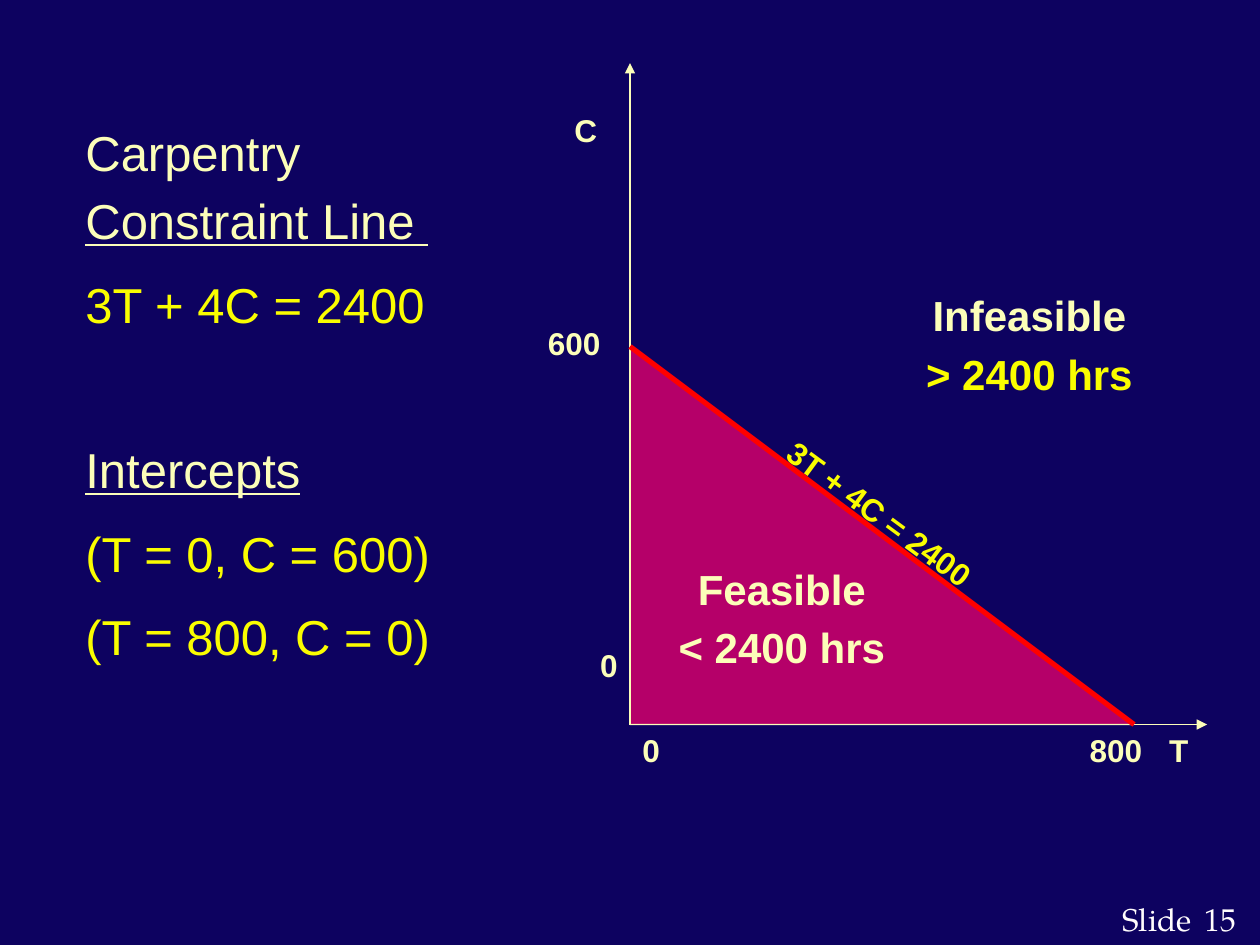
"""Build the carpentry constraint slide with its feasible region graph."""
from lxml import etree
from pptx import Presentation
from pptx.dml.color import RGBColor
from pptx.enum.shapes import MSO_CONNECTOR
from pptx.enum.text import PP_ALIGN
from pptx.oxml.ns import qn
from pptx.util import Inches, Pt

NAVY = RGBColor(0x0D, 0x02, 0x60)
CREAM = RGBColor(0xFC, 0xFE, 0xB9)
YELLOW = RGBColor(0xFA, 0xFD, 0x00)
MAGENTA = RGBColor(0xB5, 0x00, 0x69)
RED = RGBColor(0xFF, 0x00, 0x00)
WHITE = RGBColor(0xFF, 0xFC, 0xFD)

prs = Presentation()
prs.slide_width, prs.slide_height = Inches(10), Inches(7.5)
s = prs.slides.add_slide(prs.slide_layouts[6])
s.background.fill.solid()
s.background.fill.fore_color.rgb = NAVY


def add_text(x, y, w, h, lines, size, bold=False, align=PP_ALIGN.LEFT, font="Arial"):
    sp = s.shapes.add_textbox(Inches(x), Inches(y), Inches(w), Inches(h))
    tf = sp.text_frame
    tf.word_wrap = True
    for i, (text, color, underline, gap) in enumerate(lines):
        p = tf.paragraphs[0] if i == 0 else tf.add_paragraph()
        p.text = text
        p.alignment = align
        p.space_before = Pt(gap * size)
        p.font.name, p.font.size, p.font.bold = font, Pt(size), bold
        p.font.underline = underline
        p.font.color.rgb = color
    return sp


def add_line(x1, y1, x2, y2, color, width, arrow=False):
    c = s.shapes.add_connector(MSO_CONNECTOR.STRAIGHT, Inches(x1), Inches(y1), Inches(x2), Inches(y2))
    c.line.color.rgb = color
    c.line.width = Pt(width)
    if arrow:
        etree.SubElement(c.line._get_or_add_ln(), qn("a:tailEnd"), type="triangle")
    etree.SubElement(c._element.spPr, qn("a:effectLst"))


for text, x, w in [("15", 9.46, 0.5), ("Slide", 8.81, 0.8)]:
    add_text(x, 7.09, w, 0.4, [(text, WHITE, False, 0)], 18, font="TeX Gyre Pagella")

add_text(0.58, 0.92, 4.5, 1.87, [
    ("Carpentry", CREAM, False, 0),
    ("Constraint Line ", CREAM, True, 0.2),
    ("3T + 4C = 2400", YELLOW, False, 0.5),
], 28)
add_text(0.58, 3.44, 4.5, 2.12, [
    ("Intercepts", CREAM, True, 0),
    ("(T = 0, C = 600)", YELLOW, False, 0.5),
    ("(T = 800, C = 0)", YELLOW, False, 0.5),
], 28)

fb = s.shapes.build_freeform(Inches(5), Inches(5.75))
fb.add_line_segments([(Inches(5), Inches(2.75)), (Inches(9), Inches(5.75))], close=True)
region = fb.convert_to_shape()
region.shadow.inherit = False
region.fill.solid()
region.fill.fore_color.rgb = MAGENTA
region.line.color.rgb = CREAM
region.line.width = Pt(0.75)

for x, y in [(9.58, 5.75), (5, 0.5)]:
    add_line(5, 5.75, x, y, CREAM, 0.75, arrow=True)

for text, x, y, w, align in [
    ("0", 5, 5.75, 0.5, PP_ALIGN.LEFT),
    ("800", 8.55, 5.75, 0.7, PP_ALIGN.LEFT),
    ("T", 9.18, 5.75, 0.5, PP_ALIGN.LEFT),
    ("C", 4.46, 0.83, 0.5, PP_ALIGN.LEFT),
    ("600", 4.25, 2.52, 0.75, PP_ALIGN.LEFT),
    ("0", 4.25, 5.08, 0.75, PP_ALIGN.RIGHT),
]:
    add_text(x, y, w, 0.4, [(text, CREAM, False, 0)], 18, True, align)

for x, y, w, title, hours, color in [
    (5.08, 4.42, 2.25, "Feasible", "< 2400 hrs", CREAM),
    (7.17, 2.25, 2, "Infeasible", "> 2400 hrs", YELLOW),
]:
    lines = [(title, CREAM, False, 0), (hours, color, False, 0.2)]
    add_text(x, y, w, 0.98, lines, 24, True, PP_ALIGN.CENTER)

sp = add_text(6, 3.92, 2.08, 0.4, [("3T + 4C = 2400", YELLOW, False, 0)], 18, True)
sp.rotation = 36.3
add_line(5, 2.75, 9, 5.75, RED, 3)

prs.save("out.pptx")
